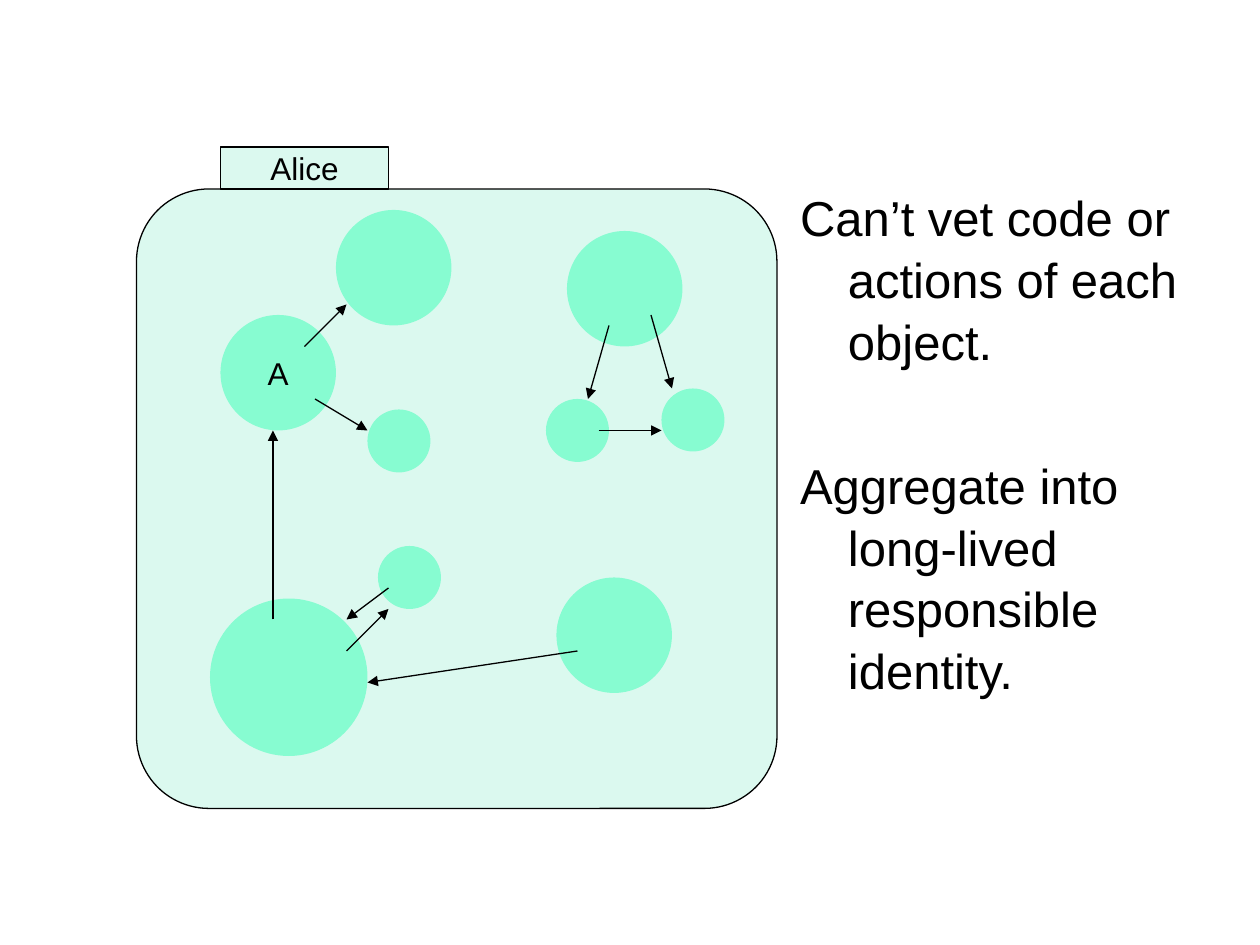
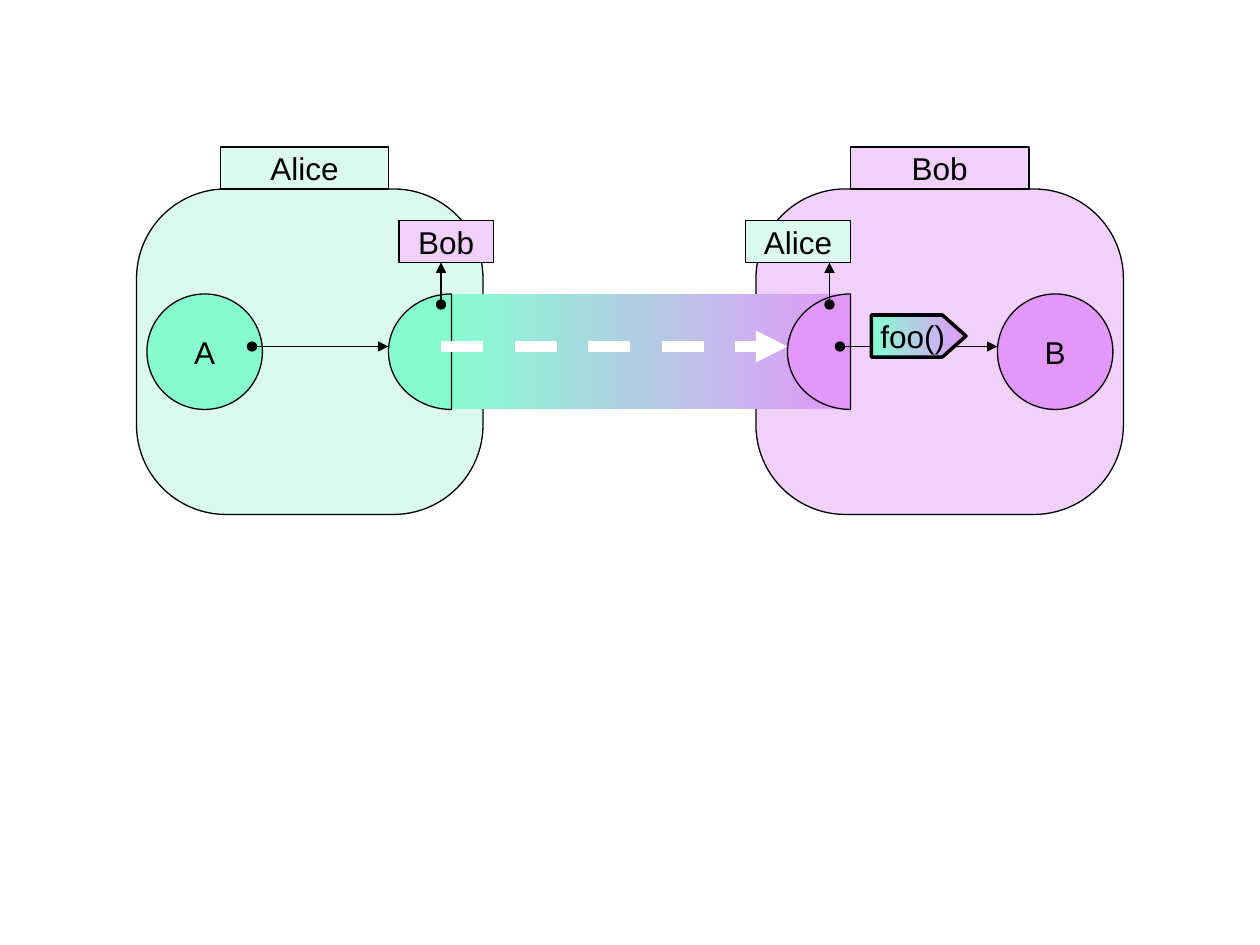
import pptx
import pptx.dml.color
import pptx.enum.dml
import pptx.enum.shapes
import pptx.enum.text
import pptx.oxml
import pptx.oxml.ns
import pptx.util

SHAPES = pptx.enum.shapes.MSO_SHAPE
COLUMNS, ROWS = 120, 90
BLACK, WHITE = "000000", "FFFFFF"
MINT, PALE_MINT = "87FCD1", "DBF9EF"
VIOLET, PALE_VIOLET = "E298F9", "F1D1FB"
LARGE, SMALL = 11, 6  # object diameters, in grid units


def color(hex_string):
    return pptx.dml.color.RGBColor.from_string(hex_string)


def add_xml(parent, tag, **attributes):
    element = pptx.oxml.parse_xml(f"<a:{tag} {pptx.oxml.ns.nsdecls('a')}/>")
    for name, value in attributes.items():
        element.set(name, value)
    parent.append(element)


class Diagram:
    """Shared style, drawing on the current slide in grid columns and rows."""

    font_name = "Arial"
    label_size = 18
    body_size = 28
    line_width = 0.75

    def __init__(self):
        self.presentation = pptx.Presentation()
        self.presentation.slide_width = pptx.util.Inches(10)
        self.presentation.slide_height = pptx.util.Inches(7.5)
        self.slide = None

    def new_slide(self, layout_index):
        layout = self.presentation.slide_layouts[layout_index]
        self.slide = self.presentation.slides.add_slide(layout)

    def x(self, columns):
        return round(self.presentation.slide_width * columns / COLUMNS)

    def y(self, rows):
        return round(self.presentation.slide_height * rows / ROWS)

    def box(self, left, top, width, height):
        return self.x(left), self.y(top), self.x(width), self.y(height)

    def style_font(self, paragraph, size):
        paragraph.font.name = self.font_name
        paragraph.font.size = pptx.util.Pt(size)
        paragraph.font.color.rgb = color(BLACK)

    def shape(self, kind, box, fill, text="", outline=line_width, adjustments=()):
        """Add a preset shape; a pair of fills runs from left to right."""
        shape = self.slide.shapes.add_shape(kind, *self.box(*box))
        shape.shadow.inherit = False
        for index, value in enumerate(adjustments):
            shape.adjustments[index] = value
        if isinstance(fill, tuple):
            shape.fill.gradient()
            shape.fill.gradient_angle = 0
            for stop, stop_color in zip(shape.fill.gradient_stops, fill):
                stop.color.rgb = color(stop_color)
        else:
            shape.fill.solid()
            shape.fill.fore_color.rgb = color(fill)
        if outline:
            shape.line.color.rgb = color(BLACK)
            shape.line.width = pptx.util.Pt(outline)
        else:
            shape.line.fill.background()
        if text:
            frame = shape.text_frame
            frame.word_wrap = False
            frame.vertical_anchor = pptx.enum.text.MSO_ANCHOR.MIDDLE
            paragraph = frame.paragraphs[0]
            paragraph.text = text
            paragraph.alignment = pptx.enum.text.PP_ALIGN.CENTER
            self.style_font(paragraph, self.label_size)

    def vat(self, box, fill, corner):
        self.shape(SHAPES.ROUNDED_RECTANGLE, box, fill, adjustments=[corner])

    def name_tag(self, left, top, width, fill, text):
        self.shape(SHAPES.RECTANGLE, (left, top, width, 4), fill, text)

    def circle(self, left, top, size, fill=MINT, text="", outline=0):
        self.shape(SHAPES.OVAL, (left, top, size, size), fill, text, outline)

    def proxy(self, left, top, fill):
        """Add the left half of an ellipse, a chord from 90 to 270 degrees."""
        self.shape(SHAPES.CHORD, (left, top, 12, LARGE), fill, adjustments=[54, 162])

    def arrow(self, start, end, from_dot=False, line_color=BLACK, width=line_width,
              dash=None):
        connector = self.slide.shapes.add_connector(
            pptx.enum.shapes.MSO_CONNECTOR.STRAIGHT,
            self.x(start[0]), self.y(start[1]), self.x(end[0]), self.y(end[1]))
        connector.line.color.rgb = color(line_color)
        connector.line.width = pptx.util.Pt(width)
        if dash:
            connector.line.dash_style = dash
        line = connector.line._get_or_add_ln()
        if from_dot:
            add_xml(line, "headEnd", type="oval")
        add_xml(line, "tailEnd", type="triangle")
        add_xml(connector._element.spPr, "effectLst")

    def body(self, box, texts, gap):
        placeholder = self.slide.placeholders[1]
        (placeholder.left, placeholder.top,
         placeholder.width, placeholder.height) = self.box(*box)
        frame = placeholder.text_frame
        frame.auto_size = pptx.enum.text.MSO_AUTO_SIZE.NONE
        frame.text = "\n".join(texts)
        hanging = pptx.util.Inches(0.38)
        for index, paragraph in enumerate(frame.paragraphs):
            properties = paragraph._p.get_or_add_pPr()
            properties.set("marL", str(hanging))
            properties.set("indent", str(-hanging))
            add_xml(properties, "buNone")
            paragraph.line_spacing = 1.05
            paragraph.space_before = pptx.util.Pt(gap if index else 0)
            self.style_font(paragraph, self.body_size)


def draw_aggregate(diagram):
    diagram.new_slide(1)
    title = diagram.slide.shapes.title
    title._element.getparent().remove(title._element)

    diagram.vat((13, 18, 61, 59), PALE_MINT, 0.117)
    diagram.name_tag(21, 14, 16, PALE_MINT, "Alice")
    diagram.circle(20, 57, 15)
    diagram.circle(21, 30, LARGE, text="A")
    for left, top in [(54, 22), (53, 55), (32, 20)]:
        diagram.circle(left, top, LARGE)
    for left, top in [(36, 52), (52, 38), (35, 39), (63, 37)]:
        diagram.circle(left, top, SMALL)

    references = [
        ((55, 62), (35, 65)), ((37, 56), (33, 59)), ((33, 62), (37, 58)),
        ((26, 59), (26, 41)), ((29, 33), (33, 29)), ((30, 38), (35, 41)),
        ((58, 31), (56, 38)), ((62, 30), (64, 37)), ((57, 41), (63, 41)),
    ]
    for start, end in references:
        diagram.arrow(start, end)

    diagram.body((75, 17, 43, 63.4), [
        "Can’t vet code or actions of each object.",
        "Aggregate into long-lived responsible identity.",
    ], gap=47)


def draw_message(diagram):
    diagram.new_slide(6)
    middle, object_top = 33, 28

    diagram.vat((13, 18, 33, 31), PALE_MINT, 0.275)
    diagram.vat((72, 18, 35, 31), PALE_VIOLET, 0.275)
    diagram.shape(SHAPES.RECTANGLE, (43, object_top, 38, LARGE), (MINT, VIOLET),
                  outline=0)
    for left, fill, name in [(14, MINT, "A"), (95, VIOLET, "B")]:
        diagram.circle(left, object_top, LARGE, fill, name, diagram.line_width)
    for left, fill in [(37, MINT), (75, VIOLET)]:
        diagram.proxy(left, object_top, fill)

    diagram.name_tag(21, 14, 16, PALE_MINT, "Alice")
    diagram.name_tag(81, 14, 17, PALE_VIOLET, "Bob")
    diagram.name_tag(38, 21, 9, PALE_VIOLET, "Bob")
    diagram.name_tag(71, 21, 10, PALE_MINT, "Alice")

    for left, right in [(24, 37), (80, 95)]:
        diagram.arrow((left, middle), (right, middle), from_dot=True)
    for column in (42, 79):
        diagram.arrow((column, 29), (column, 25), from_dot=True)
    diagram.shape(SHAPES.PENTAGON, (83, 30, 9, 4), (MINT, VIOLET), "foo()",
                  outline=2, adjustments=[0.56])
    diagram.arrow((42, middle), (75, middle), line_color=WHITE, width=6,
                  dash=pptx.enum.dml.MSO_LINE.DASH)


def main():
    diagram = Diagram()
    draw_aggregate(diagram)
    draw_message(diagram)
    diagram.presentation.save("out.pptx")


if __name__ == "__main__":
    main()
